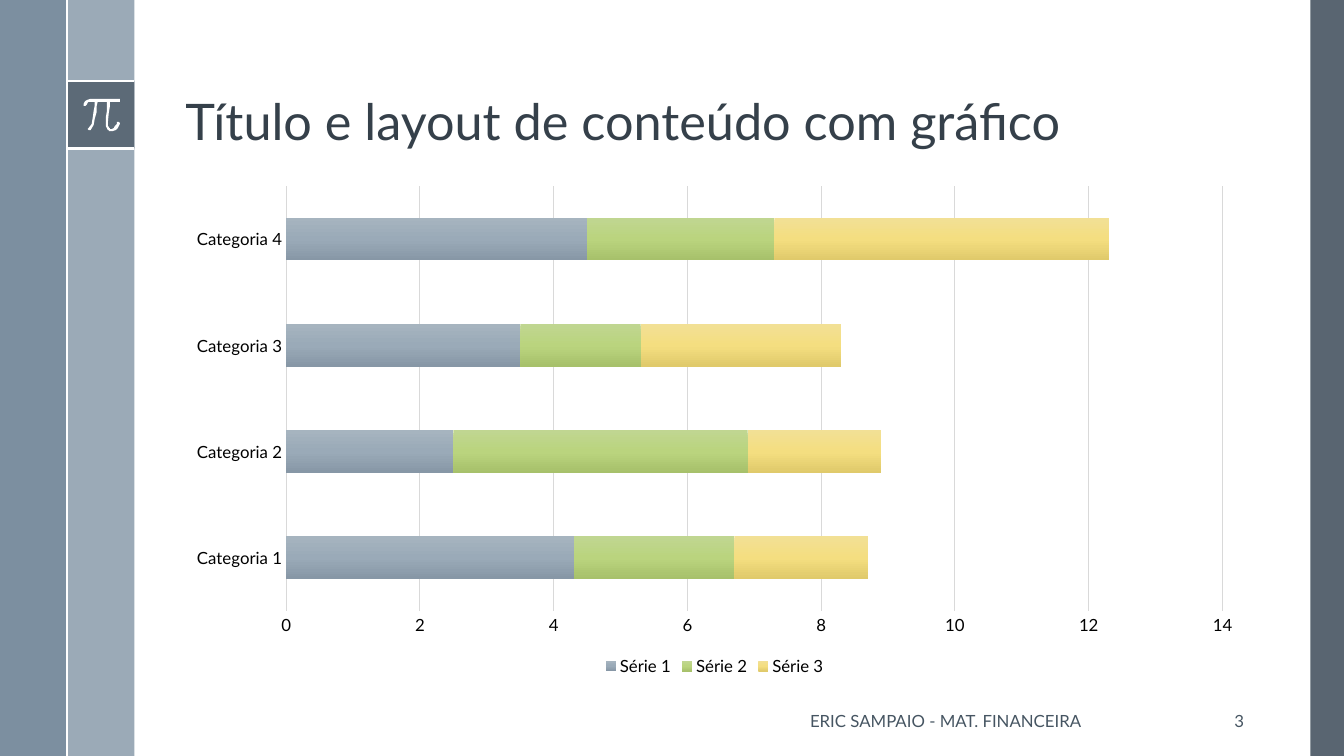
"""Build a title and stacked bar chart slide with a side band."""
from copy import deepcopy
from dataclasses import dataclass

from lxml import etree
from pptx import Presentation
from pptx import util as u
from pptx.chart.data import CategoryChartData
from pptx.dml.color import RGBColor
from pptx.enum import chart as ch, shapes, text
from pptx.oxml.ns import qn


@dataclass(frozen=True)
class Theme:
    """Colours, font and type sizes."""
    font: str = "Lato"
    title: str = "35404A"
    muted: str = "465562"
    label: str = "000000"
    grid: str = "D9D9D9"
    white: str = "FFFFFF"
    dark: str = "475562"
    mid: str = "6A8093"
    light: str = "9BAAB7"
    title_size: int = 36
    label_size: int = 12
    gradients: tuple = (("A6B4BF", "9AAAB8", "8797A6"),
                        ("C0D691", "BAD47E", "A7C16B"),
                        ("F2E095", "F4DE80", "E0CA6B"))


T = Theme()
UNIT = u.Inches(13.333) / 20
FULL = 11.25

PI_START = (118, 98)
PI_CURVES = [
    (90, 98, 90, 98, 90, 98), (85, 98, 83, 103, 83, 104),
    (83, 104, 83, 105, 84, 105), (85, 105, 85, 105, 85, 105),
    (85, 105, 87, 101, 90, 101), (94, 101, 94, 101, 94, 101),
    (94, 105, 93, 122, 88, 127), (87, 128, 87, 128, 88, 129),
    (88, 129, 89, 129, 89, 129), (89, 129, 90, 129, 90, 129),
    (95, 123, 96, 105, 97, 101), (106, 101, 106, 101, 106, 101),
    (105, 122, 105, 122, 105, 122), (105, 122, 104, 126, 107, 129),
    (108, 130, 109, 130, 110, 130), (111, 130, 111, 130, 112, 130),
    (117, 130, 119, 123, 119, 122), (119, 122, 118, 121, 118, 121),
    (117, 121, 116, 121, 116, 122), (116, 122, 115, 127, 111, 128),
    (110, 128, 109, 128, 108, 127), (107, 126, 107, 123, 107, 122),
    (109, 101, 109, 101, 109, 101), (118, 101, 118, 101, 118, 101),
    (119, 101, 119, 100, 119, 100), (119, 99, 119, 98, 118, 98),
]


def rgb(color):
    """Turn a hex string into a colour."""
    return RGBColor.from_string(color)


def grid(*cells):
    """Turn grid units into lengths."""
    return [u.Emu(round(c * UNIT)) for c in cells]


def paint(sp, color, alpha=100):
    """Fill a shape flat, without outline or shadow."""
    sp.shadow.inherit = False
    sp.line.fill.background()
    sp.fill.solid()
    sp.fill.fore_color.rgb = rgb(color)
    if alpha < 100:
        clr = sp._element.spPr.find(".//" + qn("a:srgbClr"))
        etree.SubElement(clr, qn("a:alpha"), val=str(alpha * 1000))


def add_band(s, cells, color, alpha=100):
    """Add a rectangle on the grid."""
    sp = s.shapes.add_shape(shapes.MSO_SHAPE.RECTANGLE, *grid(*cells))
    paint(sp, color, alpha)


def add_rule(s, *ends):
    """Add a white line between two grid points."""
    cx = s.shapes.add_connector(shapes.MSO_CONNECTOR.STRAIGHT, *grid(*ends))
    cx.line.color.rgb = rgb(T.white)
    cx.line.width = u.Pt(1.5)
    etree.SubElement(cx._element.spPr, qn("a:effectLst"))


def add_pi(s, steps=5):
    """Add the pi sign, its curves sampled into short segments."""
    points, start = [], PI_START
    for x1, y1, x2, y2, x3, y3 in PI_CURVES:
        for t in (i / steps for i in range(1, steps + 1)):
            k = (1 - t) ** 3, 3 * t * (1 - t) ** 2, 3 * t * t * (1 - t), t ** 3
            points.append((sum(a * b for a, b in zip(k, (start[0], x1, x2, x3))),
                           sum(a * b for a, b in zip(k, (start[1], y1, y2, y3)))))
        start = x3, y3
    fb = s.shapes.build_freeform(*PI_START, scale=u.Inches(0.01))
    fb.add_line_segments(points)
    paint(fb.convert_to_shape(), T.white)


def style_font(font, size, color):
    """Set typeface, size and colour."""
    font.name, font.size = T.font, u.Pt(size)
    font.color.rgb = rgb(color)


def write(sp, words, *, size=T.label_size, color=T.muted, align="LEFT",
          anchor="MIDDLE", spacing=1.0):
    """Write one formatted paragraph into a shape."""
    tf = sp.text_frame
    tf.word_wrap = True
    tf.auto_size = text.MSO_AUTO_SIZE.NONE
    tf.vertical_anchor = text.MSO_ANCHOR[anchor]
    p = tf.paragraphs[0]
    p.alignment = text.PP_ALIGN[align]
    p.line_spacing = spacing
    r = p.add_run()
    r.text = words
    style_font(r.font, size, color)


def add_title(s, cells, words):
    """Place and format the title placeholder."""
    sp = s.shapes.title
    sp.left, sp.top, sp.width, sp.height = grid(*cells)
    write(sp, words, size=T.title_size, color=T.title, anchor="BOTTOM",
          spacing=0.9)


def add_label(s, cells, words, align):
    """Add a footer text box."""
    write(s.shapes.add_textbox(*grid(*cells)), words, align=align)


def shade(series, colors):
    """Fill a series with a top to bottom gradient."""
    fill = series.format.fill
    fill.gradient()
    fill.gradient_angle = 270
    stops = series._element.find(".//" + qn("a:gsLst"))
    stops.append(deepcopy(stops[0]))
    for i, (stop, color) in enumerate(zip(fill.gradient_stops, colors)):
        stop.position = i / 2
        stop.color.rgb = rgb(color)


def add_bars(s, cells, categories, series):
    """Add the stacked bar chart."""
    data = CategoryChartData()
    data.categories = categories
    for name, values in series.items():
        data.add_series(name, values)
    chart = s.shapes.add_chart(ch.XL_CHART_TYPE.BAR_STACKED, *grid(*cells),
                               data).chart
    style_font(chart.font, 10, T.muted)
    chart.has_title = False
    chart.has_legend = True
    chart.legend.position = ch.XL_LEGEND_POSITION.BOTTOM
    chart.legend.include_in_layout = False
    style_font(chart.legend.font, T.label_size, T.label)
    plot = chart.plots[0]
    plot.gap_width, plot.overlap, plot.vary_by_categories = 150, 100, False
    for ser, colors in zip(plot.series, T.gradients):
        shade(ser, colors)
    cat, val = chart.category_axis, chart.value_axis
    for axis in (cat, val):
        axis.major_tick_mark = axis.minor_tick_mark = ch.XL_TICK_MARK.NONE
        style_font(axis.tick_labels.font, T.label_size, T.label)
    val.minimum_scale, val.maximum_scale, val.major_unit = 0, 14, 2
    val.has_major_gridlines = True
    val.format.line.fill.background()
    for line in (cat.format.line, val.major_gridlines.format.line):
        line.color.rgb = rgb(T.grid)
        line.width = u.Pt(0.75)


def main():
    """Build and save the slide."""
    prs = Presentation()
    prs.slide_width, prs.slide_height = grid(20, FULL)
    s = prs.slides.add_slide(prs.slide_layouts[5])
    add_band(s, (19.5, 0, 0.5, FULL), T.dark, 90)
    add_band(s, (1, 0, 1, FULL), T.light)
    add_band(s, (0, 0, 1, FULL), T.mid, 88)
    add_band(s, (1, 1.21, 1, 1), T.dark, 75)
    for row in (1.21, 2.21):
        add_rule(s, 1, row, 2, row)
    add_pi(s)
    add_rule(s, 1, 0, 1, FULL)
    add_title(s, (2.61, 0.29, 16.05, 2.04),
              "Título e layout de conteúdo com gráfico")
    add_bars(s, (2.61, 2.62, 16.05, 7.5),
             [f"Categoria {n}" for n in range(1, 5)],
             {"Série 1": (4.3, 2.5, 3.5, 4.5),
              "Série 2": (2.4, 4.4, 1.8, 2.8),
              "Série 3": (2, 2, 3, 5)})
    add_label(s, (10.81, 10.43, 6.53, 0.6), "ERIC SAMPAIO - MAT. FINANCEIRA",
              "CENTER")
    add_label(s, (17.66, 10.43, 1, 0.6), "3", "RIGHT")
    prs.save("out.pptx")


if __name__ == "__main__":
    main()
